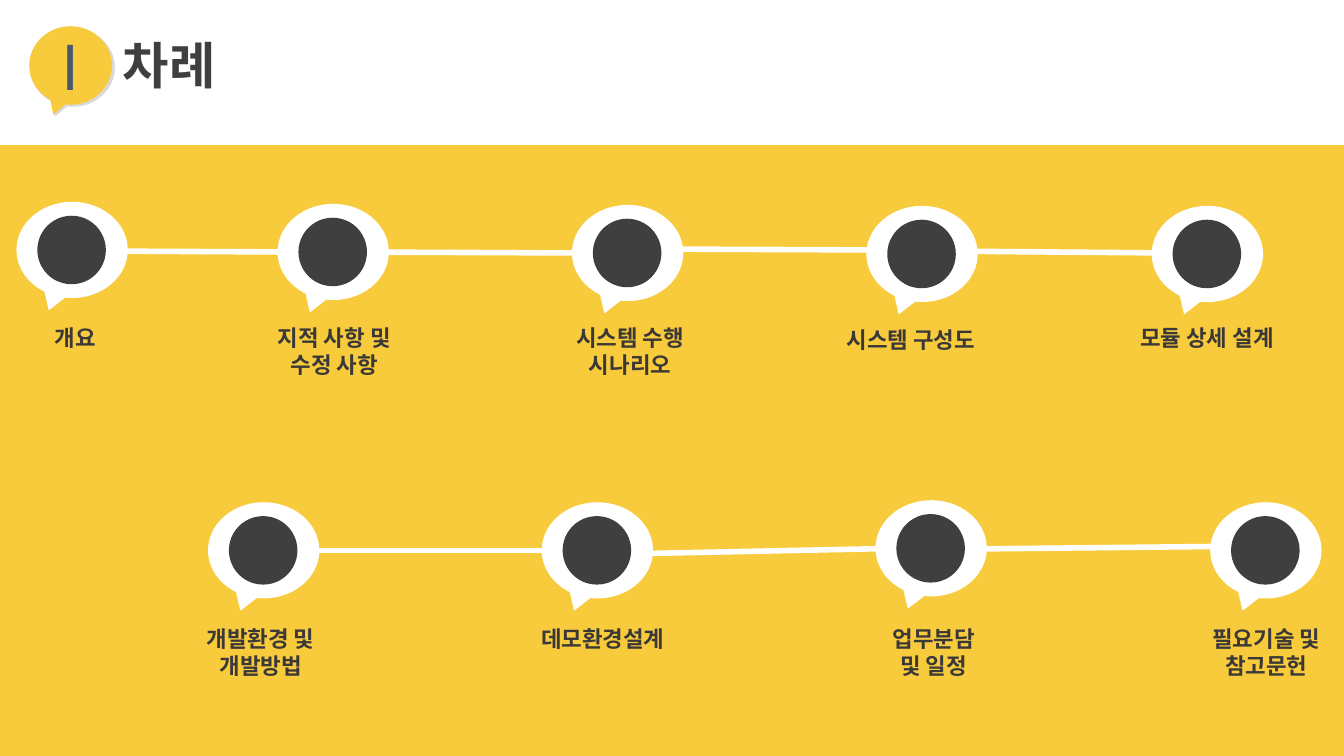
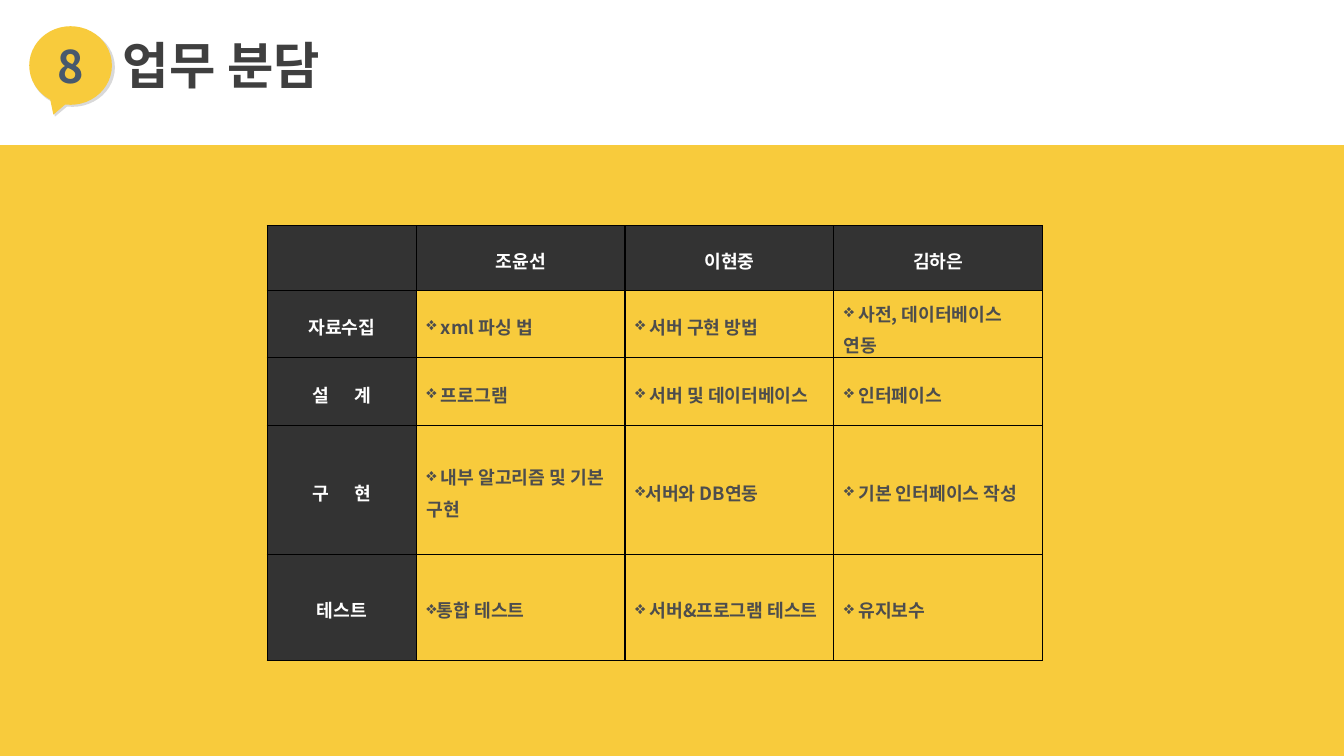
"""Build a contents slide and a task-assignment slide with a shared speech-bubble style."""
from lxml import etree
from pptx import Presentation
from pptx.dml.color import RGBColor
from pptx.enum import shapes, text
from pptx.oxml.ns import qn
from pptx.util import Inches, Pt

FONT = "Noto Sans CJK KR"
YELLOW, WHITE, BLACK = "F8CB3C", "FFFFFF", "000000"
SHADE, NUMERAL, DARK = "D9D9D9", "48596D", "3F3F3F"
CAPTION, HEADER, BODY = "3B3838", "333333", "4D4D4D"
CENTER, LEFT = text.PP_ALIGN.CENTER, text.PP_ALIGN.LEFT
MIDDLE = text.MSO_ANCHOR.MIDDLE
BUBBLE = shapes.MSO_SHAPE.OVAL_CALLOUT

# caption, bubble left and top, caption left, top and width
TOPIC_ROWS = [
    [("개요", 0.17, 2.01, 0.1, 3.17, 1.29),
     ("지적 사항 및\n수정 사항", 2.76, 2.03, 2.57, 3.17, 1.49),
     ("시스템 수행 시나리오", 5.68, 2.04, 5.53, 3.17, 1.44),
     ("시스템 구성도", 8.6, 2.05, 8.23, 3.19, 1.61),
     ("모듈 상세 설계", 11.43, 2.05, 11.03, 3.17, 1.88)],
    [("개발환경 및 개발방법", 2.07, 4.99, 1.88, 6.15, 1.41),
     ("데모환경설계", 5.38, 4.99, 5.17, 6.15, 1.62),
     ("업무분담\n및 일정", 8.69, 4.97, 8.57, 6.15, 1.38),
     ("필요기술 및 참고문헌", 12.01, 4.99, 11.82, 6.15, 1.48)],
]
LINK_HEIGHTS = [
    [(2.49, 2.5), (2.5, 2.51), (2.47, 2.48), (2.49, 2.51)],
    [(5.46, 5.46), (5.5, 5.44), (5.45, 5.42)],
]
TASKS = [
    ("", "조윤선", "이현중", "김하은"),
    ("자료수집", " xml 파싱 법", " 서버 구현 방법", " 사전, 데이터베이스 연동"),
    ("설 계", " 프로그램", " 서버 및 데이터베이스", " 인터페이스"),
    ("구 현", " 내부 알고리즘 및 기본 구현", "서버와 DB연동", " 기본 인터페이스 작성"),
    ("테스트", "통합 테스트", " 서버&프로그램 테스트", " 유지보수"),
]
COLUMN_WIDTHS = [1.48, 2.07, 2.07, 2.07]
ROW_HEIGHTS = [0.64, 0.67, 0.67, 1.28, 1.05]


def rgb(color):
    return RGBColor.from_string(color)


def style(paragraph, size, color, bold=True, align=CENTER):
    paragraph.alignment = align
    font = paragraph.font
    font.name, font.size, font.bold = FONT, Pt(size), bold
    font.color.rgb = rgb(color)
    etree.SubElement(paragraph._p.pPr.find(qn("a:defRPr")), qn("a:ea"), typeface=FONT)


def add_shape(slide, kind, box, fill, outline=None):
    shape = slide.shapes.add_shape(kind, *map(Inches, box))
    shape.shadow.inherit = False
    shape.fill.solid()
    shape.fill.fore_color.rgb = rgb(fill)
    if outline:
        shape.line.color.rgb = rgb(outline)
        shape.line.width = Pt(1)
    else:
        shape.line.fill.background()
    return shape


def add_label(slide, words, box, size, color, align=CENTER, wrap=True):
    frame = slide.shapes.add_textbox(*map(Inches, box)).text_frame
    frame.word_wrap = wrap
    frame.text = words
    for paragraph in frame.paragraphs:
        style(paragraph, size, color, align=align)


def add_link(slide, start, end):
    link = slide.shapes.add_connector(
        shapes.MSO_CONNECTOR.STRAIGHT, *map(Inches, start + end))
    link.line.color.rgb = rgb(WHITE)
    link.line.width = Pt(4)
    etree.SubElement(link._element.spPr, qn("a:effectLst"))


def start_slide(deck, number, title, number_size, number_bold):
    slide = deck.slides.add_slide(deck.slide_layouts[6])
    add_shape(slide, shapes.MSO_SHAPE.RECTANGLE, (0, 1.44, 13.33, 6.06), YELLOW)
    add_shape(slide, BUBBLE, (0.3, 0.28, 0.84, 0.78), SHADE)
    badge = add_shape(slide, BUBBLE, (0.29, 0.26, 0.82, 0.78), YELLOW).text_frame
    badge.vertical_anchor = MIDDLE
    badge.text = number
    style(badge.paragraphs[0], number_size, NUMERAL, number_bold)
    add_label(slide, title, (1.12, 0.29, 2.28, 0.71), 36, DARK, LEFT, False)
    return slide


def add_topics(slide, topics, heights):
    for here, following, (y1, y2) in zip(topics, topics[1:], heights):
        add_link(slide, (here[1] + 0.6, y1), (following[1] + 0.2, y2))
    for caption, left, top, caption_left, caption_top, width in topics:
        add_shape(slide, BUBBLE, (left, top, 1.09, 0.94), WHITE, WHITE)
        add_shape(slide, shapes.MSO_SHAPE.OVAL, (left + 0.2, top + 0.13, 0.68, 0.68), DARK)
        lines = 2 if len(caption) > 8 or "\n" in caption else 1
        add_label(slide, caption, (caption_left, caption_top, width, 0.1 + 0.27 * lines),
                  16, CAPTION)


def add_borders(cell):
    properties = cell._tc.get_or_add_tcPr()
    for position, side in enumerate(("lnL", "lnR", "lnT", "lnB")):
        border = etree.Element(qn(f"a:{side}"), w=str(Pt(1)))
        fill = etree.SubElement(border, qn("a:solidFill"))
        etree.SubElement(fill, qn("a:srgbClr"), val=BLACK)
        properties.insert(position, border)


def fill_cell(cell, words, is_header):
    cell.vertical_anchor = MIDDLE
    if is_header:
        cell.fill.solid()
        cell.fill.fore_color.rgb = rgb(HEADER)
    else:
        cell.fill.background()
    add_borders(cell)
    paragraph = cell.text_frame.paragraphs[0]
    paragraph.line_spacing, paragraph.space_before = 1.2, Pt(3)
    if is_header:
        first, gap, last = words.partition(" ")
        paragraph.add_run().text = first + gap
        if gap:
            paragraph.runs[0].font._element.set("spc", "730")
            paragraph.add_run().text = last
        style(paragraph, 13, WHITE)
    else:
        paragraph.add_run().text = words
        etree.SubElement(paragraph._p.get_or_add_pPr(), qn("a:buChar"), char="❖")
        style(paragraph, 13, BODY, align=LEFT)


def add_tasks(slide):
    table = slide.shapes.add_table(
        len(TASKS), len(COLUMN_WIDTHS), Inches(2.65), Inches(2.24),
        Inches(sum(COLUMN_WIDTHS)), Inches(sum(ROW_HEIGHTS))).table
    table.first_row = table.horz_banding = False
    for column, width in zip(table.columns, COLUMN_WIDTHS):
        column.width = Inches(width)
    for row, height in zip(table.rows, ROW_HEIGHTS):
        row.height = Inches(height)
    for r, task in enumerate(TASKS):
        for c, words in enumerate(task):
            fill_cell(table.cell(r, c), words, r == 0 or c == 0)


def main():
    deck = Presentation()
    deck.slide_width, deck.slide_height = Inches(13.33), Inches(7.5)
    contents = start_slide(deck, "I", "차례", 44, False)
    for topics, heights in zip(TOPIC_ROWS, LINK_HEIGHTS):
        add_topics(contents, topics, heights)
    add_tasks(start_slide(deck, "8", "업무 분담", 32, True))
    deck.save("out.pptx")


if __name__ == "__main__":
    main()
